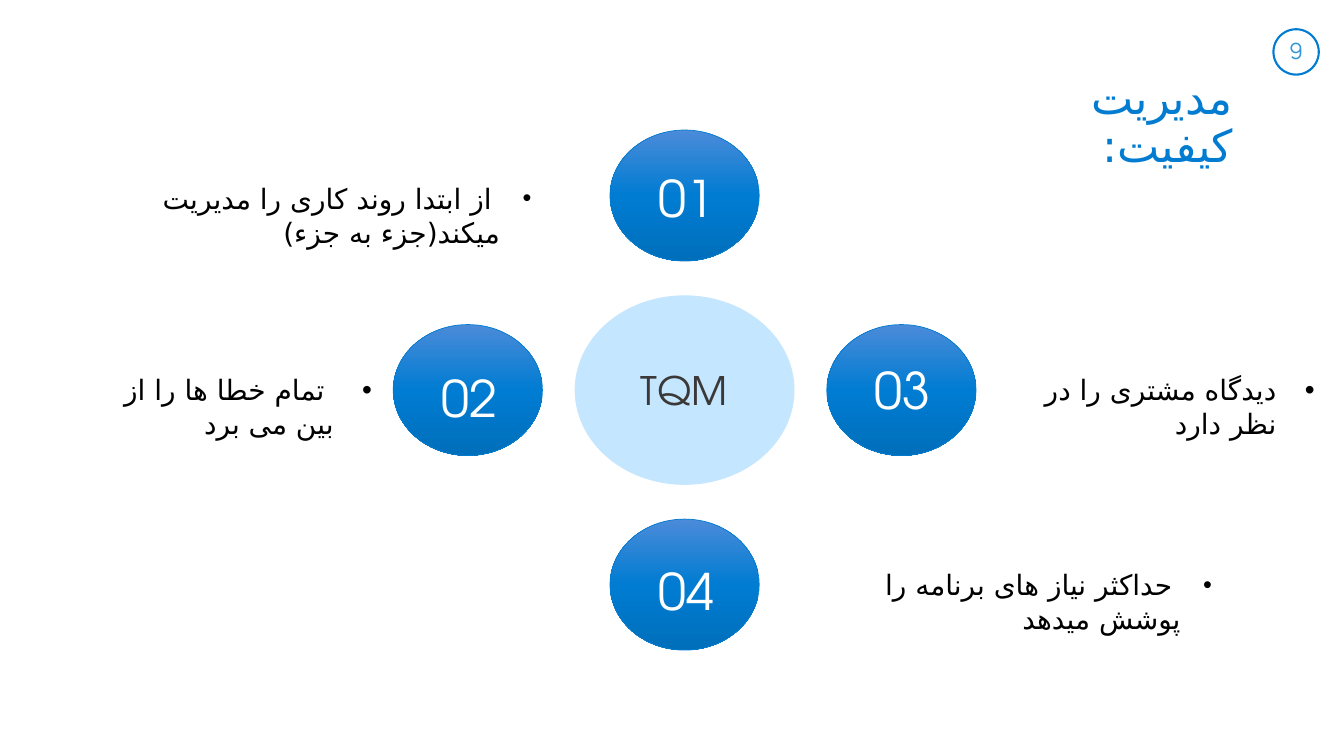
from pptx import Presentation
from pptx.dml.color import RGBColor
from pptx.enum.shapes import MSO_SHAPE as Shape
from pptx.enum.text import MSO_ANCHOR as Anchor, MSO_AUTO_SIZE as AutoSize, PP_ALIGN as Align
from pptx.oxml import parse_xml
from pptx.oxml.ns import nsdecls
from pptx.util import Inches, Pt

BLUE, PALE, BADGE, DARK, BLACK, WHITE = "027CD0", "C4E6FE", "3596D9", "3B3838", "000000", "FFFFFF"
GRADIENT = [(0, "4B8BD9"), (50, "007CD2"), (100, "006FBB")]
LATIN, DISPLAY, PERSIAN = "Manrope", "TeX Gyre Adventor", "Calibri"
ARABIC_SCRIPT = "DejaVu Sans"

HUB = (5.70, 2.93, 2.18, 1.88)
NODE_SIZE = (1.48, 1.30)
STEP_X, STEP_Y = 2.15, 1.93
# number, column and row from the hub, gap above the number
NODES = [("01", 0, -1, 0.32), ("02", -1, 0, 0.37), ("04", 0, 1, 0.36), ("03", 1, 0, 0.29)]
# box, hanging indent, runs of (text, size, font)
POINTS = [
    ((0.46, 1.75, 4.91, 0.44), 0.31,
     [(" ", 18, LATIN), ("از ابتدا روند کاری را مدیریت میکند(جزء به جزء)", 20, PERSIAN)]),
    ((0.68, 3.65, 3.11, 0.44), 0.38, [(" تمام خطا ها را از بین می برد", 20, PERSIAN)]),
    ((10.0, 3.65, 3.14, 0.44), 0.38, [("دیدگاه مشتری را در نظر دارد", 20, PERSIAN)]),
    ((7.88, 5.58, 4.24, 0.44), 0.31,
     [(" ", 18, LATIN), ("حداکثر نیاز های برنامه را پوشش میدهد ", 20, PERSIAN)]),
]


def color(value):
    return RGBColor.from_string(value)


def place(shape, box):
    shape.left, shape.top, shape.width, shape.height = (Inches(n) for n in box)


def add_run(para, text, size, font, ink):
    span = para.add_run()
    span.text = text
    span.font.size, span.font.name, span.font.bold = Pt(size), font, False
    span.font.color.rgb = color(ink)
    span.font._element.append(parse_xml(f'<a:cs {nsdecls("a")} typeface="{ARABIC_SCRIPT}"/>'))


def set_frame(shape, wrap, anchor, auto_size):
    frame = shape.text_frame
    frame.word_wrap, frame.vertical_anchor, frame.auto_size = wrap, anchor, auto_size
    return frame.paragraphs[0]


def add_label(page, box, text, size, font, ink, align, wrap=False, anchor=Anchor.TOP):
    label = page.shapes.add_textbox(*(Inches(n) for n in box))
    para = set_frame(label, wrap, anchor, AutoSize.NONE if wrap else AutoSize.SHAPE_TO_FIT_TEXT)
    para.alignment = align
    add_run(para, text, size, font, ink)


def add_ellipse(page, box, fill=None, line=None, width=0):
    oval = page.shapes.add_shape(Shape.OVAL, *(Inches(n) for n in box))
    oval.shadow.inherit = False
    if fill:
        oval.fill.solid()
        oval.fill.fore_color.rgb = color(fill)
    else:
        oval.fill.background()
    if line:
        oval.line.color.rgb, oval.line.width = color(line), Pt(width)
    else:
        oval.line.fill.background()
    return oval


def add_gradient(shape):
    stops = "".join(f'<a:gs pos="{at * 1000}"><a:srgbClr val="{ink}"/></a:gs>' for at, ink in GRADIENT)
    props = shape._element.spPr
    solid = props.find("{*}solidFill")
    props.replace(solid, parse_xml(
        f'<a:gradFill {nsdecls("a")} rotWithShape="1"><a:gsLst>{stops}</a:gsLst>'
        '<a:lin ang="5400000" scaled="0"/></a:gradFill>'))


def add_page_number(page, box):
    left, top, width, height = box
    add_ellipse(page, box, line=BLUE, width=1.5)
    add_label(page, (left - 0.03, top + 0.03, width + 0.06, height - 0.08),
              "9", 16, LATIN, BADGE, Align.CENTER, anchor=Anchor.MIDDLE)


def fill_title(title, box):
    place(title, box)
    para = set_frame(title, True, Anchor.TOP, AutoSize.NONE)
    para.alignment, para.line_spacing, para.space_before = Align.RIGHT, 0.9, Pt(10)
    para._p.get_or_add_pPr().set("rtl", "1")
    add_run(para, "مدیریت کیفیت:", 32, PERSIAN, BLUE)


def add_diagram(page, hub):
    left, top, width, height = hub
    node_width, node_height = NODE_SIZE
    # numbered circles around the hub
    for number, column, row, gap in NODES:
        x = left + (width - node_width) / 2 + column * STEP_X
        y = top + (height - node_height) / 2 + row * STEP_Y
        add_gradient(add_ellipse(page, (x, y, node_width, node_height), BLUE, BLUE, 0.5))
        add_label(page, (x + 0.33, y + gap, 0.8, 0.71), number, 36, DISPLAY, WHITE, Align.RIGHT)
    # hub
    add_ellipse(page, hub, PALE)
    add_label(page, (left + 0.48, top + 0.5, 1.21, 0.87), "TQM", 28, DISPLAY, DARK,
              Align.CENTER, wrap=True, anchor=Anchor.MIDDLE)


def fill_point(body, box, indent, spans):
    place(body, box)
    para = set_frame(body, False, Anchor.TOP, AutoSize.SHAPE_TO_FIT_TEXT)
    para.alignment, para.space_before = Align.RIGHT, Pt(0)
    props = para._p.get_or_add_pPr()
    for name, value in (("marL", Inches(indent)), ("indent", -Inches(indent)), ("rtl", 1)):
        props.set(name, str(value))
    props.append(parse_xml(f'<a:buFont {nsdecls("a")} typeface="Arial"/>'))
    props.append(parse_xml(f'<a:buChar {nsdecls("a")} char="•"/>'))
    for text, size, font in spans:
        add_run(para, text, size, font, BLACK)


def main():
    deck = Presentation()
    deck.slide_width, deck.slide_height = Inches(13.33), Inches(7.5)
    page = deck.slides.add_slide(deck.slide_layouts.get_by_name("Comparison"))
    title, *bodies = page.placeholders
    add_page_number(page, (12.63, 0.29, 0.45, 0.45))
    fill_title(title, (9.68, 0.7, 2.65, 0.54))
    add_diagram(page, HUB)
    for body, point in zip(bodies, POINTS):
        fill_point(body, *point)
    deck.save("out.pptx")


if __name__ == "__main__":
    main()
